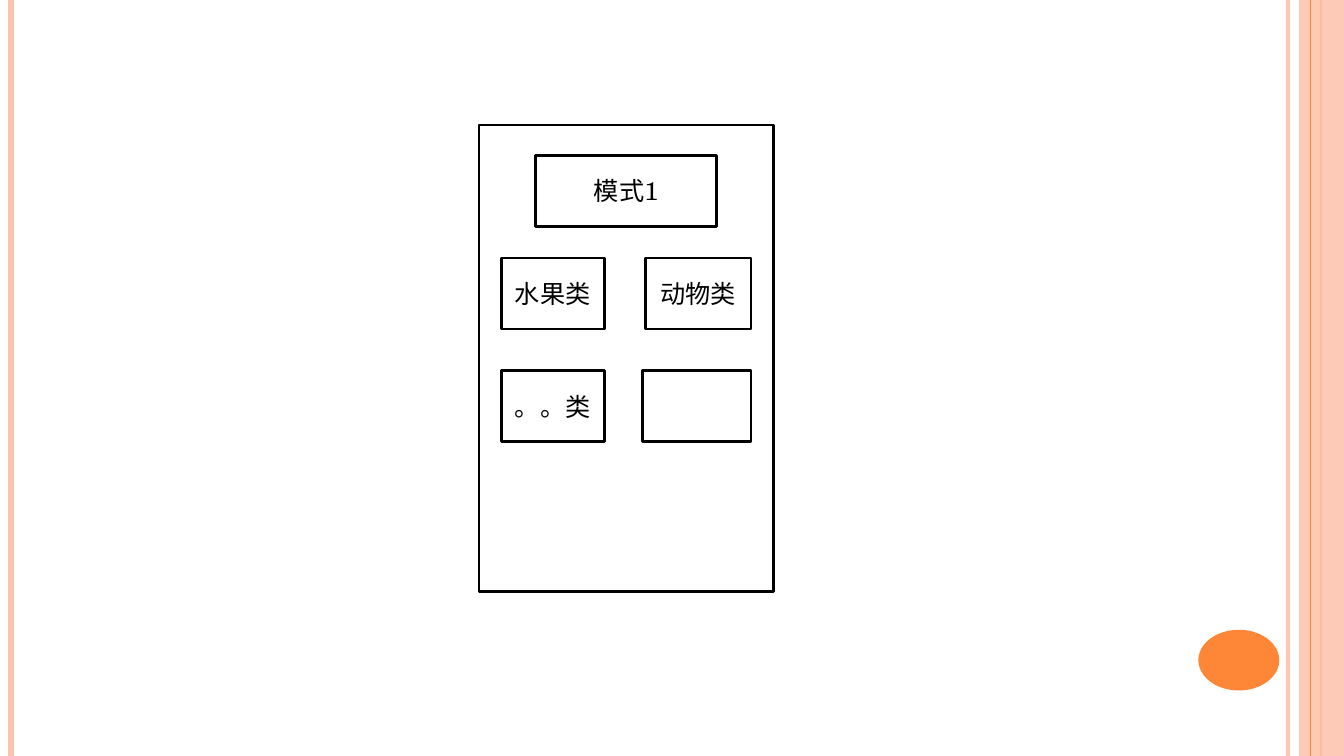
from lxml.etree import SubElement
from pptx import Presentation
from pptx.dml.color import RGBColor
from pptx.enum.shapes import MSO_CONNECTOR, MSO_SHAPE
from pptx.enum.text import MSO_ANCHOR, PP_ALIGN
from pptx.oxml.ns import qn
from pptx.util import Cm, Pt

COLORS = {"peach": "FEC3AE", "orange": "FE8637", "white": "FFFFFF", "black": "000000"}
FONT = "TeX Gyre Schola"
WIDTH, HEIGHT = 33.87, 19.05


def paint(fill, color, alpha=100):
    fill.solid()
    fill.fore_color.rgb = RGBColor.from_string(COLORS[color])
    if alpha < 100:
        tint = fill._xPr.find(".//" + qn("a:srgbClr"))
        SubElement(tint, qn("a:alpha")).set("val", str(alpha * 1000))


def add_shape(shapes, kind, box, color, alpha=100):
    shape = shapes.add_shape(kind, *map(Cm, box))
    shape.shadow.inherit = False
    paint(shape.fill, color, alpha)
    shape.line.fill.background()
    return shape


def add_rule(shapes, x, top, height, color, weight, alpha=100):
    rule = shapes.add_connector(
        MSO_CONNECTOR.STRAIGHT, Cm(x), Cm(top), Cm(x), Cm(top + height))
    rule.line.width = Pt(weight)
    paint(rule.line.fill, color, alpha)
    SubElement(rule._element.spPr, qn("a:effectLst"))


def add_box(shapes, box, label=""):
    """Add a white box with a black edge and a centred label."""
    shape = add_shape(shapes, MSO_SHAPE.RECTANGLE, box, "white")
    shape.line.width = Pt(2)
    paint(shape.line.fill, "black")
    if label:
        frame = shape.text_frame
        frame.text = label
        frame.vertical_anchor = MSO_ANCHOR.MIDDLE
        line = frame.paragraphs[0]
        line.alignment = PP_ALIGN.CENTER
        font = line.runs[0].font
        font.name, font.size = FONT, Pt(18)
        font.color.rgb = RGBColor.from_string(COLORS["black"])


def draw_border(shapes, left, top, width, height):
    """Draw the side bands and the dot at the lower right."""
    right = left + width
    add_rule(shapes, right - 1.41, top, height, "peach", 3, 93)
    add_rule(shapes, left + 0.28, top, height, "peach", 4.5)
    add_rule(shapes, right - 0.57, top, height, "orange", 1.5)
    add_shape(shapes, MSO_SHAPE.RECTANGLE, (right - 1.13, top, 1.13, height), "peach", 87)
    add_rule(shapes, right - 0.85, top, height, "orange", 0.75)
    add_shape(shapes, MSO_SHAPE.OVAL,
              (right - 3.67, top + height - 3.18, 2.04, 1.53), "orange")


def draw_menu(shapes, left, top, width, height):
    """Draw the panel with its mode title and a grid of class boxes."""
    add_box(shapes, (left, top, width, height))
    title = 4.55
    add_box(shapes, (left + (width - title) / 2, top + 0.76, title, 1.8), "模式1")
    margin, pitch = 0.56, 2.84
    rows = [(("水果类", 2.6), ("动物类", 2.66)), (("。。类", 2.6), ("", 2.74))]
    for row, ((first, wide), (second, span)) in enumerate(rows):
        y = top + 3.35 + row * pitch
        add_box(shapes, (left + margin, y, wide, 1.79), first)
        add_box(shapes, (left + width - margin - span, y, span, 1.79), second)


def main():
    deck = Presentation()
    deck.slide_width, deck.slide_height = Cm(WIDTH), Cm(HEIGHT)
    slide = deck.slides.add_slide(deck.slide_layouts[6])
    draw_border(slide.shapes, 0, 0, WIDTH, HEIGHT)
    draw_menu(slide.shapes, 12.07, 3.15, 7.42, 11.76)
    deck.save("out.pptx")


if __name__ == "__main__":
    main()
